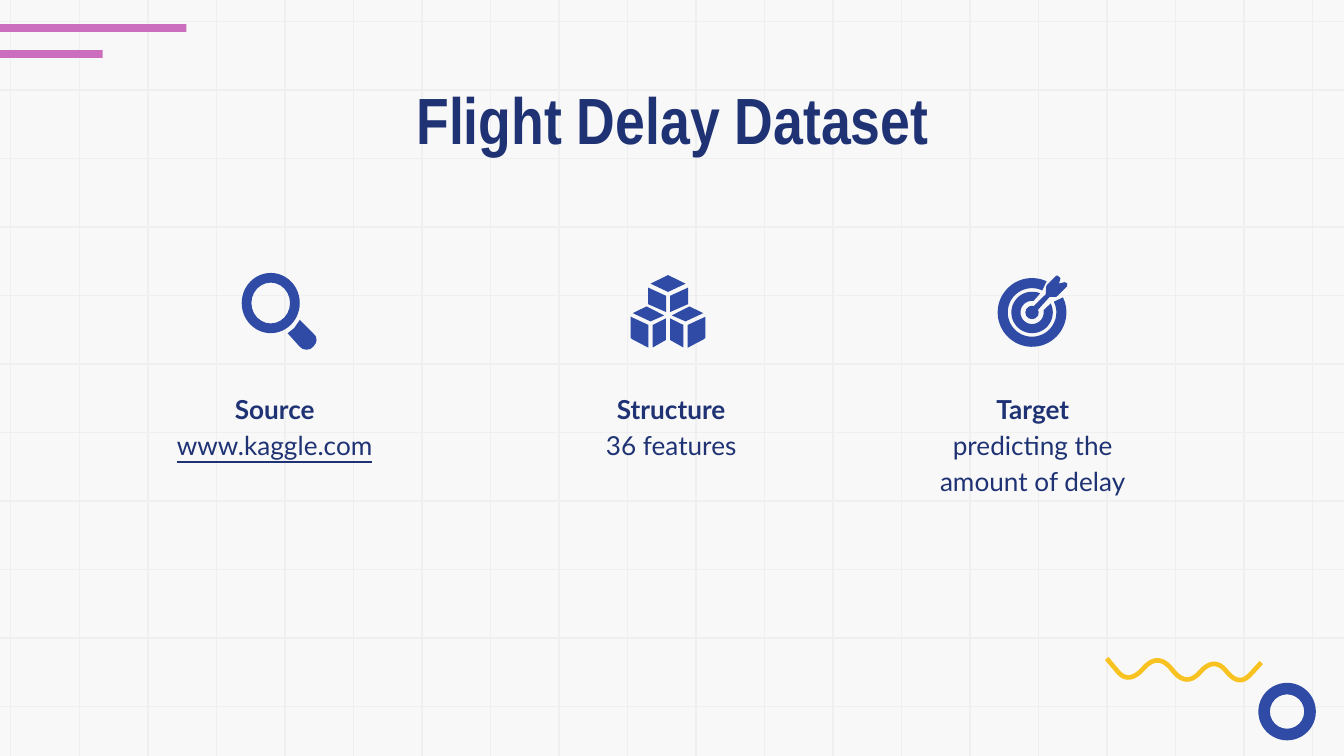
"""Build the Flight Delay Dataset slide with three icon columns."""
import math

from lxml import etree
from pptx import Presentation
from pptx.dml.color import RGBColor
from pptx.enum import shapes, text
from pptx.oxml import ns
from pptx.util import Pt

NAVY = RGBColor(0x1F, 0x33, 0x74)
BLUE = RGBColor(0x30, 0x4B, 0xA6)
PINK = RGBColor(0xCB, 0x6E, 0xBE)
YELLOW = RGBColor(0xF8, 0xC2, 0x20)
GRID = RGBColor(0xEF, 0xEF, 0xEF)
PAPER = RGBColor(0xF8, 0xF8, 0xF8)

WIDTH, HEIGHT = 720, 405
GRID_STEP, FIRST_ROW, FIRST_COLUMN = 36.7, 11.5, 5.8

TITLE = "Flight Delay Dataset"
COLUMNS = [
    (72.7, "Source", "www.kaggle.com", True),
    (285.1, "Structure", "36 features", False),
    (478.8, "Target", "predicting the amount of delay", False),
]
BARS = [(12.9, 99.8), (26.9, 55)]
WAVE_CORNERS = [
    (592.9, 352.8), (604.8, 366.9), (620.5, 349.2), (635.5, 368.6),
    (650.5, 351.5), (663.7, 368), (675.7, 355),
]
HANDLE = [
    (160.6, 171.4), (157.7, 175.7), (154.1, 178.6), (160.6, 185.8),
    (162.2, 187), (164.2, 187.4), (166.2, 187), (167.8, 185.8),
    (169.2, 183.9), (169.6, 182.2), (169.2, 180.2), (167.8, 178.6),
]
ARROW = [
    (566.6, 147.6), (565.9, 147.6), (560.9, 152.6), (560.5, 153.4),
    (560.2, 157.7), (553.8, 164), (556, 166), (562.3, 159.1),
    (565.9, 159.1), (566.6, 158.4), (571.7, 153.4), (571.7, 151.7),
    (570.2, 151.2), (567.4, 151.9), (568.1, 149),
]
TARGET_CENTER = (552.9, 167.4)
TARGET_RINGS = [
    (18.4, (65, 386), 13, (65, 386)),
    (11.1, (67, 386), 6.2, (83, 370)),
]
CUBES_CENTER = 357.9
CUBE_TOP = [(0, 147.4), (9.4, 152), (0, 156.4), (-9.4, 152)]
CUBE_LEFT_FACES = [
    [(-10.7, 154.1), (-10.7, 163), (-1.1, 167.2), (-1.1, 158.5)],
    [(-11.5, 164.2), (-18.9, 167.8), (-9.4, 172.2), (-2, 169)],
    [(-1.1, 170.6), (-8.2, 174.1), (-8.2, 186.2), (-1.1, 182.2)],
    [(-20, 169.7), (-20, 181), (-19.3, 181.7), (-10.5, 186.3), (-10.5, 174.1)],
]


def paint(shape, color):
    shape.shadow.inherit = False
    shape.fill.solid()
    shape.fill.fore_color.rgb = color
    shape.line.fill.background()


def add_preset(slide, kind, left, top, width, height, color):
    shape = slide.shapes.add_shape(kind, Pt(left), Pt(top), Pt(width), Pt(height))
    paint(shape, color)
    return shape


def add_ring(slide, left, top, width, height, thickness):
    ring = add_preset(slide, shapes.MSO_SHAPE.DONUT, left, top, width, height, BLUE)
    ring.adjustments[0] = thickness / min(width, height)


def add_outline(slide, points, closed=True):
    points = [(x * 100, y * 100) for x, y in points]
    builder = slide.shapes.build_freeform(*points[0], scale=Pt(1) / 100)
    builder.add_line_segments(points[1:], close=closed)
    shape = builder.convert_to_shape()
    paint(shape, BLUE)
    return shape


def arc(center, radius, start, end):
    angles = [math.radians(start + (end - start) * i / 60) for i in range(61)]
    return [(center[0] + radius * math.cos(a), center[1] - radius * math.sin(a)) for a in angles]


def rounded_path(corners, steps=12):
    middles = [((a + c) / 2, (b + d) / 2) for (a, b), (c, d) in zip(corners, corners[1:])]
    points = [corners[0]]
    for start, corner, end in zip(middles, corners[1:], middles[1:]):
        for t in (i / steps for i in range(steps + 1)):
            points.append(tuple(
                (1 - t) ** 2 * p + 2 * t * (1 - t) * q + t * t * r
                for p, q, r in zip(start, corner, end)
            ))
    return points + [corners[-1]]


def add_grid_line(slide, x1, y1, x2, y2):
    line = slide.shapes.add_connector(
        shapes.MSO_CONNECTOR.STRAIGHT, Pt(x1), Pt(y1), Pt(x2), Pt(y2))
    line.line.color.rgb = GRID
    line.line.width = Pt(0.75)
    etree.SubElement(line.element.spPr, ns.qn("a:effectLst"))


def place_text(shape, left, top, width, height):
    shape.left, shape.top, shape.width, shape.height = map(Pt, (left, top, width, height))
    frame = shape.text_frame
    frame.word_wrap = True
    frame.auto_size = text.MSO_AUTO_SIZE.NONE
    frame.vertical_anchor = text.MSO_ANCHOR.TOP
    frame.margin_left = frame.margin_right = frame.margin_top = frame.margin_bottom = Pt(7.2)
    return frame


def format_paragraph(paragraph, font_name, size, bold, underline=False):
    paragraph.alignment = text.PP_ALIGN.CENTER
    font = paragraph.runs[0].font
    font.name, font.size, font.bold = font_name, Pt(size), bold
    font.color.rgb = NAVY
    if underline:
        font.underline = True


def add_background(slide):
    slide.background.fill.solid()
    slide.background.fill.fore_color.rgb = PAPER
    for row in range(11):
        y = FIRST_ROW + row * GRID_STEP
        add_grid_line(slide, 0, y, WIDTH, y)
    for column in range(20):
        x = FIRST_COLUMN + column * GRID_STEP
        add_grid_line(slide, x, 0, x, HEIGHT)
    for top, width in BARS:
        add_preset(slide, shapes.MSO_SHAPE.RECTANGLE, 0, top, width, 4.2, PINK)
    add_ring(slide, 674.1, 365.8, 30.8, 30.8, 6.2)
    wave = add_outline(slide, rounded_path(WAVE_CORNERS), closed=False)
    wave.fill.background()
    wave.line.color.rgb = YELLOW
    wave.line.width = Pt(2.5)


def add_title(slide):
    title = slide.shapes.title
    title.element.getparent().append(title.element)
    frame = place_text(title, 56.9, 35.3, 607, 45.4)
    frame.text = TITLE
    format_paragraph(frame.paragraphs[0], "Arial Narrow", 35, True)
    frame.paragraphs[0].line_spacing = 1.0


def add_icons(slide):
    add_outline(slide, HANDLE)
    add_ring(slide, 129.5, 146.2, 31.1, 32.3, 5.2)

    for outer, outer_span, inner, inner_span in TARGET_RINGS:
        edge = arc(TARGET_CENTER, outer, *outer_span)
        add_outline(slide, edge + arc(TARGET_CENTER, inner, *inner_span)[::-1])
    x, y = TARGET_CENTER
    add_preset(slide, shapes.MSO_SHAPE.OVAL, x - 3.6, y - 3.6, 7.2, 7.2, BLUE)
    add_outline(slide, ARROW)

    mirrored = [[(-x, y) for x, y in face] for face in CUBE_LEFT_FACES]
    for face in [CUBE_TOP] + CUBE_LEFT_FACES + mirrored:
        add_outline(slide, [(CUBES_CENTER + x, y) for x, y in face])


def add_columns(slide):
    for left, heading, detail, underline in COLUMNS:
        box = slide.shapes.add_textbox(0, 0, 0, 0)
        frame = place_text(box, left, 200.9, 149, 73.4)
        frame.text = f"{heading}\n{detail}"
        first, second = frame.paragraphs
        format_paragraph(first, "Lato", 14, True)
        format_paragraph(second, "Lato", 14, False, underline)
        first.line_spacing = second.line_spacing = 1.15


def main():
    presentation = Presentation()
    presentation.slide_width, presentation.slide_height = Pt(WIDTH), Pt(HEIGHT)
    slide = presentation.slides.add_slide(presentation.slide_layouts[5])
    add_background(slide)
    add_title(slide)
    add_icons(slide)
    add_columns(slide)
    presentation.save("out.pptx")


if __name__ == "__main__":
    main()
